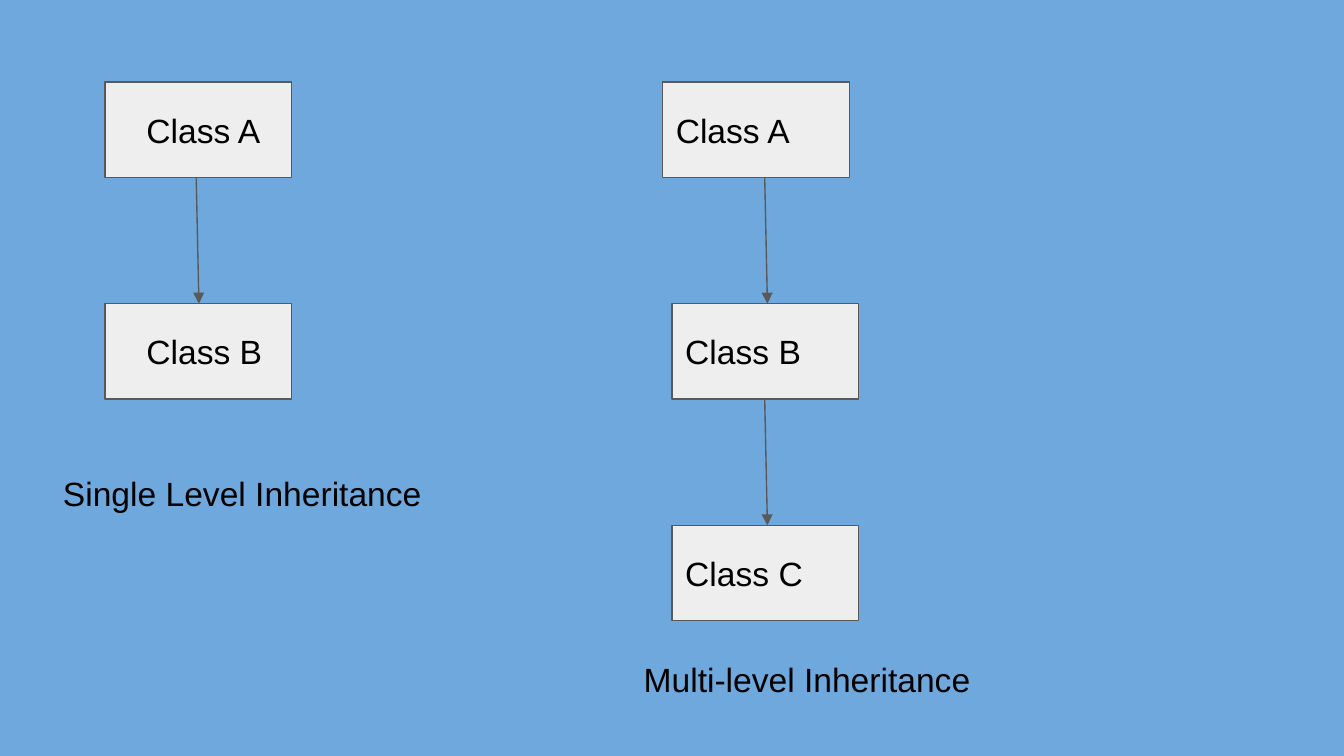
"""Builds a slide comparing single level and multi-level inheritance."""
from lxml.etree import SubElement
from pptx import Presentation
from pptx.dml.color import RGBColor
from pptx.enum.shapes import MSO_CONNECTOR, MSO_SHAPE
from pptx.enum.text import MSO_ANCHOR, PP_ALIGN
from pptx.oxml.ns import qn
from pptx.util import Inches, Pt

COLORS = {"background": "6FA8DC", "box": "EEEEEE", "line": "595959", "text": "000000"}
BOX_WIDTH, BOX_HEIGHT = 1.39, 0.71
FIRST_TOP, ROW_STEP = 0.61, 1.65


def color(name):
    return RGBColor.from_string(COLORS[name])


def write_text(shape, text, indent=0, anchor=MSO_ANCHOR.TOP, size=18, font="Arial"):
    frame = shape.text_frame
    frame.word_wrap = True
    frame.vertical_anchor = anchor
    frame.margin_top = frame.margin_right = frame.margin_bottom = Inches(0.1)
    frame.margin_left = Inches(0.1 + indent)
    paragraph = frame.paragraphs[0]
    paragraph.alignment = PP_ALIGN.LEFT
    run = paragraph.add_run()
    run.text = text
    run.font.size = Pt(size)
    run.font.name = font
    run.font.color.rgb = color("text")


class Diagram:
    def __init__(self, slide):
        self.slide = slide
        slide.background.fill.solid()
        slide.background.fill.fore_color.rgb = color("background")

    def style_line(self, line):
        line.color.rgb = color("line")
        line.width = Pt(0.75)

    def box(self, text, left, top, indent=0):
        shape = self.slide.shapes.add_shape(
            MSO_SHAPE.RECTANGLE, Inches(left), Inches(top), Inches(BOX_WIDTH), Inches(BOX_HEIGHT))
        shape.shadow.inherit = False
        shape.fill.solid()
        shape.fill.fore_color.rgb = color("box")
        self.style_line(shape.line)
        write_text(shape, text, indent, MSO_ANCHOR.MIDDLE)

    def arrow(self, start, top):
        connector = self.slide.shapes.add_connector(
            MSO_CONNECTOR.STRAIGHT, Inches(start), Inches(top + BOX_HEIGHT),
            Inches(start + 0.02), Inches(top + ROW_STEP))
        self.style_line(connector.line)
        SubElement(connector.line._get_or_add_ln(), qn("a:tailEnd"), type="triangle")
        SubElement(connector._element.spPr, qn("a:effectLst"))

    def caption(self, text, left, top, width, height, indent=0):
        shape = self.slide.shapes.add_textbox(
            Inches(left), Inches(top), Inches(width), Inches(height))
        write_text(shape, text, indent)

    def hierarchy(self, names, lefts, arrow_start, indent=0):
        tops = [FIRST_TOP + row * ROW_STEP for row in range(len(names))]
        for name, left, top in zip(names, lefts, tops):
            self.box(name, left, top, indent)
        for top in tops[:-1]:
            self.arrow(arrow_start, top)


presentation = Presentation()
presentation.slide_width = Inches(10)
presentation.slide_height = presentation.slide_width * 9 // 16
diagram = Diagram(presentation.slides.add_slide(presentation.slide_layouts[6]))
diagram.hierarchy(["Class A", "Class B"], [0.78, 0.78], 1.46, indent=0.21)
diagram.hierarchy(["Class A", "Class B", "Class C"], [4.93, 5, 5], 5.69)
diagram.caption("Single Level Inheritance", 0.37, 3.42, 8.03, 0.94)
diagram.caption("Multi-level Inheritance", 4.36, 4.8, 4.44, 0.45, indent=0.33)
presentation.save("out.pptx")
